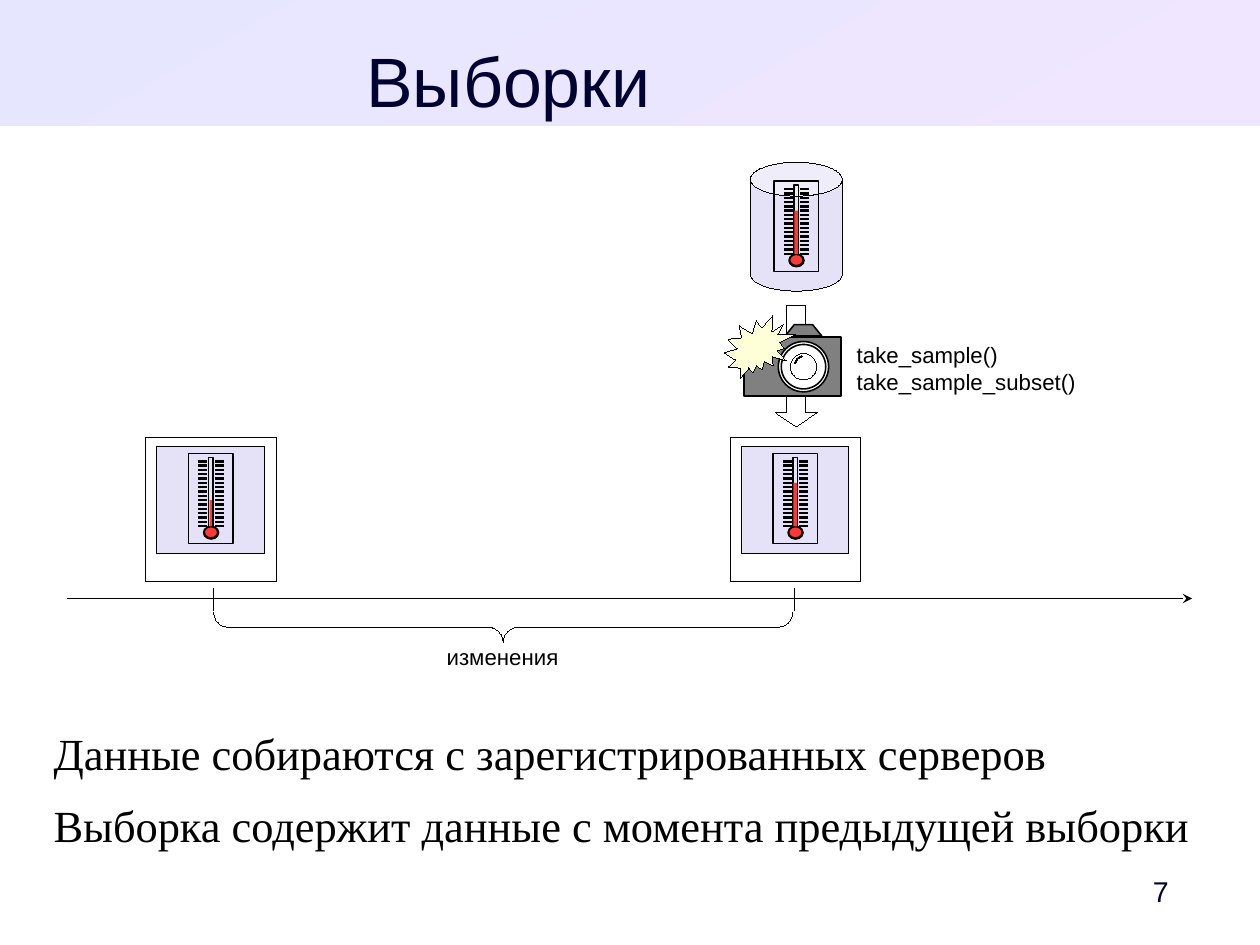
from dataclasses import dataclass

from lxml.etree import SubElement
from pptx import Presentation
from pptx.dml.color import RGBColor
from pptx.enum.shapes import MSO_CONNECTOR as Connector
from pptx.enum.shapes import MSO_SHAPE as Preset
from pptx.enum.text import MSO_ANCHOR as Anchor
from pptx.enum.text import PP_ALIGN as Align
from pptx.oxml.ns import qn
from pptx.util import Pt


@dataclass(frozen=True)
class Theme:
    ink: str = "000000"
    heading: str = "000033"
    band_start: str = "E6E6FF"
    band_end: str = "F0E6FF"
    paper: str = "FFFFFF"
    lavender: str = "E5E1F7"
    mercury: str = "FF3838"
    camera: str = "808080"
    lens: str = "111111"
    flash: str = "FFFFD7"
    sans: str = "Arial"
    serif: str = "Times New Roman"
    title_size: float = 44
    body_size: float = 28
    number_size: float = 18
    label_size: float = 14
    hairline: float = 0.01


THEME = Theme()


def rgb(color):
    return RGBColor.from_string(color)


def set_values(target, values):
    for name, value in values.items():
        setattr(target, name, value)


def style_shape(shape, fill=None, line=THEME.ink, width=THEME.hairline):
    shape.shadow.inherit = False
    if fill:
        shape.fill.solid()
        shape.fill.fore_color.rgb = rgb(fill)
    else:
        shape.fill.background()
    if line:
        shape.line.color.rgb = rgb(line)
        shape.line.width = Pt(width)
    else:
        shape.line.fill.background()


def add_preset(shapes, kind, box, adjustments=(), rotation=0, **style):
    shape = shapes.add_shape(kind, *map(Pt, box))
    for index, value in enumerate(adjustments):
        shape.adjustments[index] = value
    shape.rotation = rotation
    style_shape(shape, **style)
    return shape


def add_line(shapes, start, end, width=THEME.hairline, arrow=None):
    line = shapes.add_connector(Connector.STRAIGHT, *map(Pt, (*start, *end)))
    line.line.color.rgb = rgb(THEME.ink)
    line.line.width = Pt(width)
    if arrow:
        SubElement(line.line._get_or_add_ln(), qn("a:tailEnd"), type=arrow)
    SubElement(line._element.spPr, qn("a:effectLst"))


def add_text(shapes, box, lines, size, font=THEME.sans, color=THEME.ink,
             align=Align.LEFT, anchor=Anchor.TOP, insets=(0, 0, 0, 0), after=0):
    frame = shapes.add_textbox(*map(Pt, box)).text_frame
    left, top, right, bottom = map(Pt, insets)
    set_values(frame, {
        "word_wrap": True, "vertical_anchor": anchor,
        "margin_left": left, "margin_top": top,
        "margin_right": right, "margin_bottom": bottom,
    })
    for index, line in enumerate(lines):
        paragraph = frame.paragraphs[0] if index == 0 else frame.add_paragraph()
        run = paragraph.add_run()
        run.text = line
        set_values(paragraph, {"alignment": align, "space_after": Pt(after)})
        set_values(run.font, {"size": Pt(size), "name": font})
        run.font.color.rgb = rgb(color)


def add_band(shapes, width):
    band = add_preset(shapes, Preset.RECTANGLE, (0, 0, width, 79.2), line=None)
    band.fill.gradient()
    band.fill.gradient_angle = 300
    colors = (THEME.band_start, THEME.band_end)
    for position, (stop, color) in enumerate(zip(band.fill.gradient_stops, colors)):
        stop.color.rgb = rgb(color)
        stop.position = position


def add_thermometer(shapes, left, top, level, column_width=2.2):
    group = shapes.add_group_shape().shapes
    column = (left + 14 - column_width / 2, top + 46 - level, column_width, level)
    add_preset(group, Preset.RECTANGLE, (left, top, 28.1, 56.9), width=1)
    add_preset(group, Preset.OVAL, (left + 9.5, top + 46, 9.4, 7.9), width=1)
    add_preset(group, Preset.RECTANGLE, (left + 12.5, top + 2.6, 2.9, 43.8), width=1)
    add_preset(group, Preset.OVAL, (left + 9.8, top + 46.1, 8.6, 7.2),
               fill=THEME.mercury, width=1)
    add_preset(group, Preset.RECTANGLE, column, fill=THEME.mercury, line=None)
    for side in (6.2, 16.6):
        for step in range(16):
            y = top + 5 + 2.72 * step
            add_line(group, (left + side, y), (left + side + 5.6, y), width=1.5)


def add_snapshot(shapes, left, level, column_width):
    top = 275.6
    add_preset(shapes, Preset.RECTANGLE, (left, top, 82.1, 90.7), fill=THEME.paper)
    add_preset(shapes, Preset.RECTANGLE, (left + 6.9, top + 5.7, 67.7, 67.7),
               fill=THEME.lavender)
    add_thermometer(shapes, left + 26.9, top + 10, level, column_width)


def add_camera(shapes):
    group = shapes.add_group_shape().shapes
    builder = group.build_freeform(Pt(494.6), Pt(211.7))
    builder.add_line_segments(
        [(Pt(x), Pt(y)) for x, y in ((517.7, 211.7), (511.9, 204.5), (500.4, 204.5))])
    style_shape(builder.convert_to_shape(), fill=THEME.camera, width=1)
    add_preset(group, Preset.RECTANGLE, (468.7, 212.2, 61.2, 37.4),
               fill=THEME.camera, width=1)
    center_x, center_y = 506.2, 231
    rings = ((31.7, THEME.paper, THEME.ink, 1), (28, THEME.paper, THEME.ink, 1),
             (16.6, None, THEME.lens, THEME.hairline))
    for size, fill, line, width in rings:
        box = (center_x - size / 2, center_y - size / 2, size, size)
        add_preset(group, Preset.OVAL, box, fill=fill, line=line, width=width)
    add_preset(group, Preset.BLOCK_ARC, (500.4, 223.9, 11.5, 11.5),
               (140.5, 183.5, 0.07), 315, fill=THEME.ink)
    add_preset(group, Preset.EXPLOSION2, (456.3, 198.5, 44.6, 39.6), fill=THEME.flash)


def add_timeline(shapes):
    add_line(shapes, (42.5, 377), (751, 377), arrow="stealth")
    add_snapshot(shapes, 91.9, 16.6, 1.4)
    add_snapshot(shapes, 460.1, 27.4, 2.2)
    first, last = 134.6, 500.4
    for x in (first, last):
        add_line(shapes, (x, 370.6), (x, 384.5))
    length, depth = last - first - 1.2, 18.7
    middle = (first + last - 1) / 2
    add_preset(shapes, Preset.LEFT_BRACE,
               (middle - depth / 2, 395.1 - length / 2, depth, length), (0.5, 0.5), 270)


def add_sampling(shapes):
    add_preset(shapes, Preset.CAN, (472.8, 102.2, 57.8, 81.2), (0.37,),
               fill=THEME.lavender)
    add_thermometer(shapes, 487.6, 114.1, 27.4)
    add_preset(shapes, Preset.DOWN_ARROW, (488.3, 192.5, 26.6, 76.3), (0.44, 0.34),
               fill=THEME.paper)
    add_camera(shapes)


def main():
    width, height = 793.75, 595.25
    presentation = Presentation()
    set_values(presentation, {"slide_width": Pt(width), "slide_height": Pt(height)})
    slide = presentation.slides.add_slide(presentation.slide_layouts[6])
    shapes = slide.shapes

    add_band(shapes, width)
    add_text(shapes, (697.7, 544.3, 62.6, 33.8), ["7"], THEME.number_size,
             color=THEME.heading, align=Align.RIGHT, anchor=Anchor.MIDDLE,
             insets=(7.2, 3.6, 24, 3.6))
    add_text(shapes, (39.6, 23.8, 561.6, 49), ["Выборки"], THEME.title_size,
             color=THEME.heading, align=Align.CENTER)
    add_text(shapes, (33.8, 457.6, 725.8, 137),
             ["Данные собираются с зарегистрированных серверов",
              "Выборка содержит данные с момента предыдущей выборки"],
             THEME.body_size, font=THEME.serif, after=11.3)
    add_timeline(shapes)
    label_insets = (7.2, 3.6, 7.2, 3.6)
    add_text(shapes, (274.3, 401.5, 86, 23), ["изменения"], THEME.label_size,
             insets=label_insets)
    add_text(shapes, (532.6, 211.5, 157, 42.5),
             ["take_sample()", "take_sample_subset()"], THEME.label_size,
             insets=label_insets)
    add_sampling(shapes)
    presentation.save("out.pptx")


if __name__ == "__main__":
    main()
